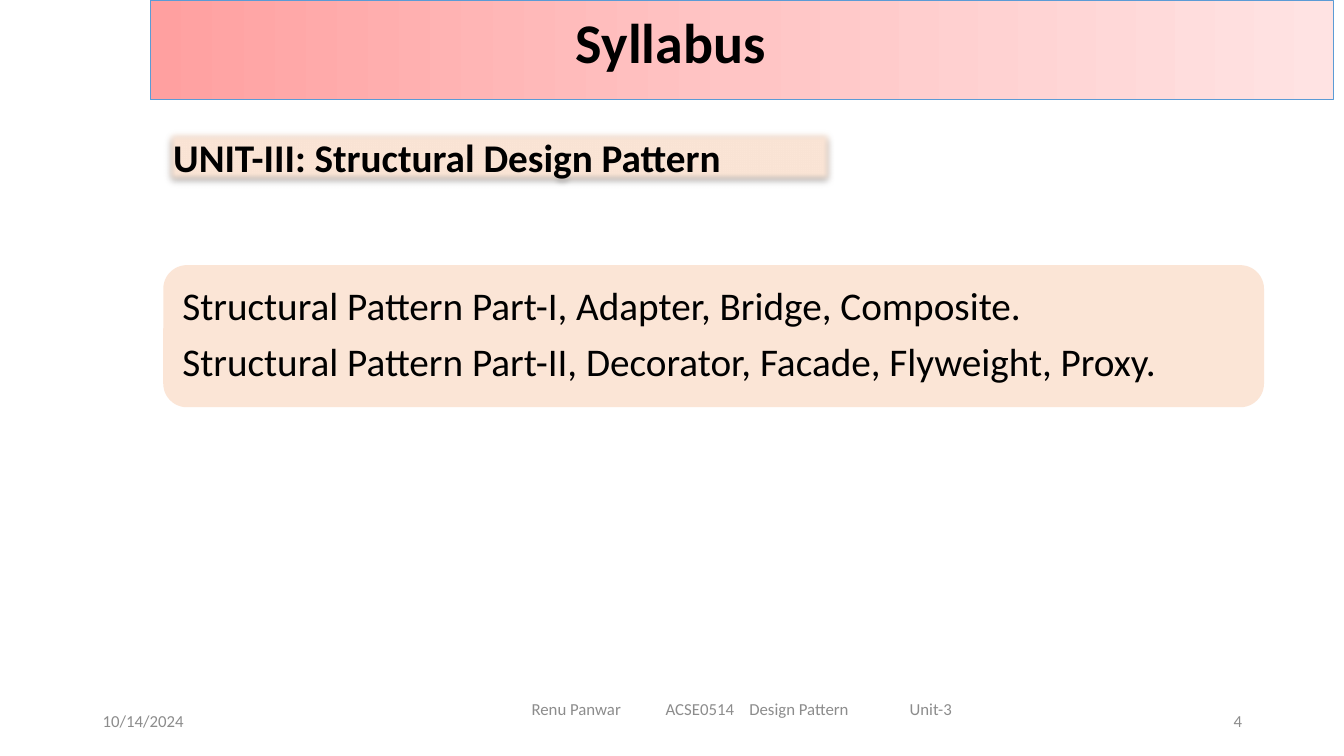
from dataclasses import dataclass

from lxml.etree import SubElement
from pptx import Presentation
from pptx.dml.color import RGBColor
from pptx.enum.shapes import MSO_SHAPE
from pptx.enum.text import MSO_ANCHOR, PP_ALIGN
from pptx.oxml.ns import qn
from pptx.util import Inches, Pt


@dataclass(frozen=True)
class Theme:
    font: str = "Calibri"
    ink: str = "000000"
    muted: str = "8C8C8C"
    panel: str = "FBE5D6"
    banner: tuple = ((0, "FFA0A0"), (50, "FFC5C5"), (100, "FFE3E3"))
    banner_line: str = "5B9BD5"
    title_size: int = 40
    body_size: int = 28
    footer_size: int = 12


@dataclass(frozen=True)
class Box:
    left: float
    top: float
    width: float
    height: float

    def inner(self, left, top, width, height):
        return Box(self.left + left * self.width, self.top + top * self.height,
                   width * self.width, height * self.height)

    def lengths(self):
        return [Inches(value) for value in (self.left, self.top, self.width, self.height)]


THEME = Theme()
SLIDE = Box(0, 0, 13.33, 7.5)
COLUMNS = ROWS = 100


def grid(left, top, width, height):
    return SLIDE.inner(left / COLUMNS, top / ROWS, width / COLUMNS, height / ROWS)


def add_panel(page, box, kind, color=None):
    panel = page.shapes.add_shape(kind, *box.lengths())
    panel.shadow.inherit = False
    panel.line.fill.background()
    if color:
        panel.fill.solid()
        panel.fill.fore_color.rgb = RGBColor.from_string(color)
    return panel


def write(shape, lines, size, color=THEME.ink, bold=False, align=PP_ALIGN.LEFT,
          anchor=MSO_ANCHOR.MIDDLE, tabs=(), spacing=None):
    frame = shape.text_frame
    frame.word_wrap = True
    frame.vertical_anchor = anchor
    for index, line in enumerate(lines):
        para = frame.add_paragraph() if index else frame.paragraphs[0]
        if tabs:
            tab_list = SubElement(para._p.get_or_add_pPr(), qn("a:tabLst"))
            for stop in tabs:
                SubElement(tab_list, qn("a:tab"), pos=str(Inches(stop)), algn="l")
        para.alignment = align
        for name, value in (spacing or {}).items():
            setattr(para, name, value)
        span = para.add_run()
        span.text = line
        formats = {"name": THEME.font, "size": Pt(size), "bold": bold}
        for name, value in formats.items():
            setattr(span.font, name, value)
        span.font.color.rgb = RGBColor.from_string(color)


def add_text(page, box, line, size, **formats):
    write(page.shapes.add_textbox(*box.lengths()), [line], size, **formats)


def add_soft_shadow(shape):
    effects = shape._element.spPr.find(qn("a:effectLst"))
    shadow = SubElement(effects, qn("a:outerShdw"), blurRad=str(Pt(3.1)),
                        dist=str(Pt(1.8)), dir="5400000", rotWithShape="0")
    color = SubElement(shadow, qn("a:srgbClr"), val=THEME.ink)
    SubElement(color, qn("a:alpha"), val="35000")
    SubElement(effects, qn("a:softEdge"), rad=str(Pt(5)))


def add_banner(page, box, title):
    banner = add_panel(page, box, MSO_SHAPE.RECTANGLE)
    banner.fill.gradient()
    banner.fill.gradient_angle = 0
    stops = banner._element.spPr.find(qn("a:gradFill")).find(qn("a:gsLst"))
    for stop in list(stops):
        stops.remove(stop)
    for position, color in THEME.banner:
        stop = SubElement(stops, qn("a:gs"), pos=str(position * 1000))
        SubElement(stop, qn("a:srgbClr"), val=color)
    banner.line.color.rgb = RGBColor.from_string(THEME.banner_line)
    banner.line.width = Pt(0.5)
    add_text(page, box.inner(0.16, 0.03, 0.56, 0.78), title, THEME.title_size,
             bold=True, align=PP_ALIGN.CENTER, anchor=MSO_ANCHOR.TOP)


def add_unit_heading(page, box, heading):
    panel = add_panel(page, box, MSO_SHAPE.RECTANGLE, THEME.panel)
    add_soft_shadow(panel)
    write(panel, [heading], THEME.body_size, bold=True,
          align=PP_ALIGN.JUSTIFY, anchor=MSO_ANCHOR.TOP)


def add_topics(page, box, topics):
    panel = add_panel(page, box, MSO_SHAPE.ROUNDED_RECTANGLE, THEME.panel)
    for side in ("left", "top", "right", "bottom"):
        setattr(panel.text_frame, f"margin_{side}", Inches(0.12))
    write(panel, topics, THEME.body_size,
          spacing={"line_spacing": 0.9, "space_after": Pt(0.35 * THEME.body_size)})


def add_footer(page, box, date, course, number):
    entries = (
        (box.inner(0, 0.23, 0.26, 0.77), date, {}),
        (box.inner(0.37, 0, 0.38, 0.77), "\t".join(course), {"tabs": (1.33, 2.16, 3.75)}),
        (box.inner(0.74, 0.23, 0.26, 0.77), number, {"align": PP_ALIGN.RIGHT}),
    )
    for place, line, formats in entries:
        add_text(page, place, line, THEME.footer_size, color=THEME.muted, **formats)


def main():
    deck = Presentation()
    deck.slide_width, deck.slide_height = Inches(SLIDE.width), Inches(SLIDE.height)
    page = deck.slides.add_slide(deck.slide_layouts[6])
    add_banner(page, grid(11.18, 0, 88, 13.2), "Syllabus")
    add_footer(page, grid(6.9, 91.07, 86.25, 6.93), "10/14/2024",
               ("Renu Panwar", "ACSE0514", "Design Pattern", "Unit-3"), "4")
    add_unit_heading(page, grid(12.15, 16.93, 50, 7.6),
                     "UNIT-III: Structural Design Pattern")
    add_topics(page, grid(12.15, 35.07, 81.9, 18.8), (
        "Structural Pattern Part-I, Adapter, Bridge, Composite.",
        "Structural Pattern Part-II, Decorator, Facade, Flyweight, Proxy.",
    ))
    deck.save("out.pptx")


if __name__ == "__main__":
    main()
